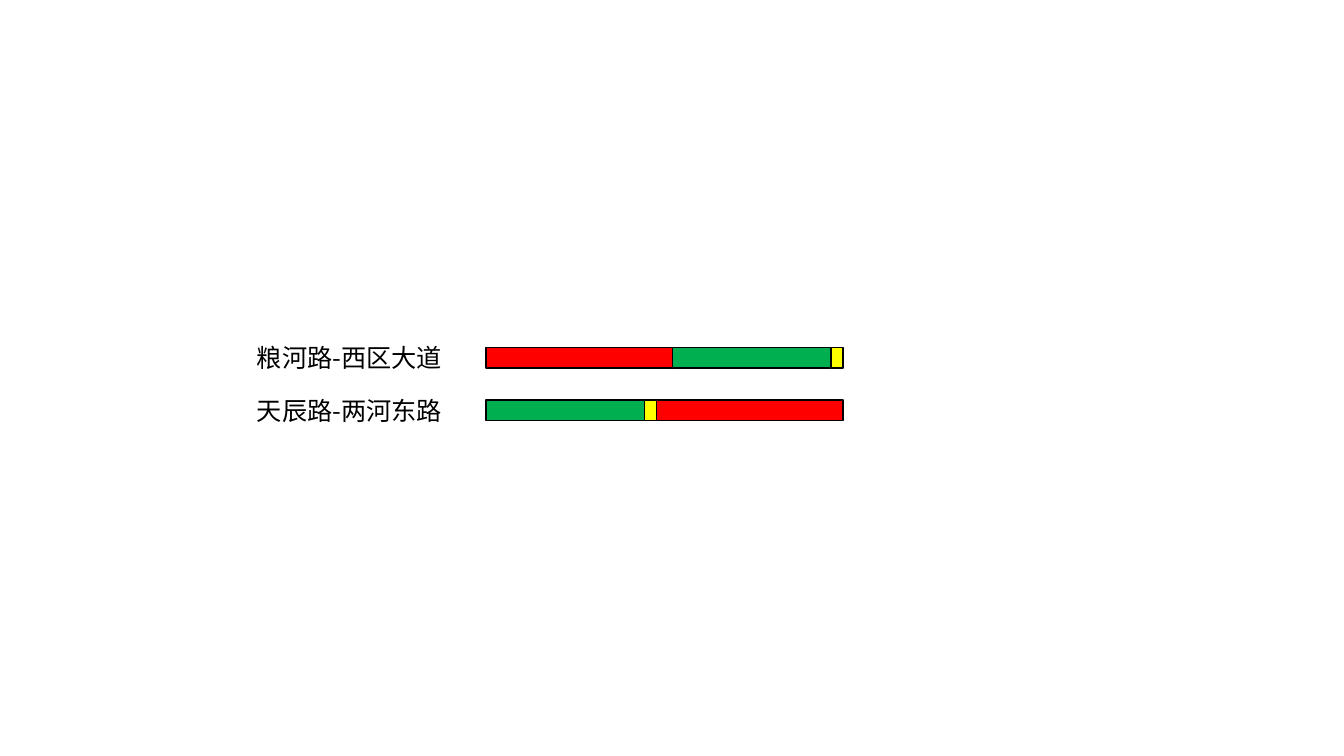
from pptx import Presentation
from pptx import util as u
from pptx.dml.color import RGBColor
from pptx.enum import shapes, text
from pptx.oxml.ns import qn

RED = RGBColor(0xFF, 0x00, 0x00)
GREEN = RGBColor(0x00, 0xB0, 0x50)
YELLOW = RGBColor(0xFF, 0xFF, 0x00)
BLACK = RGBColor(0x00, 0x00, 0x00)

SPAN = {RED: 1.85, GREEN: 1.57, YELLOW: 0.12}
ROADS = [
    ("粮河路-西区大道", (RED, GREEN, YELLOW)),
    ("天辰路-两河东路", (GREEN, YELLOW, RED)),
]
TOP, STEP = 3.35, 0.52


class Board:
    """Holds the style and the group on the current slide."""

    font = "Noto Sans CJK SC"
    size = u.Pt(18)
    edge = u.Pt(1)

    def __init__(self, slide):
        """Start one group for the signal plan."""
        self.group = slide.shapes.add_group_shape().shapes

    def label(self, words, left, top, width, height):
        """Add a road name."""
        box = self.group.add_textbox(*map(u.Inches, (left, top, width, height)))
        frame = box.text_frame
        frame.text = words
        frame.word_wrap = True
        frame.auto_size = text.MSO_AUTO_SIZE.SHAPE_TO_FIT_TEXT
        run = frame.paragraphs[0].runs[0]
        run.font.name = self.font
        run.font.size = self.size
        run.font.color.rgb = BLACK
        east = run.font._element.makeelement(qn("a:ea"), {"typeface": self.font})
        run.font._element.find(qn("a:latin")).addnext(east)

    def phase(self, color, left, top, width, height):
        """Add one outlined bar of a signal phase."""
        bar = self.group.add_shape(
            shapes.MSO_SHAPE.RECTANGLE, *map(u.Inches, (left, top, width, height)))
        bar.shadow.inherit = False
        bar.fill.solid()
        bar.fill.fore_color.rgb = color
        bar.line.color.rgb = BLACK
        bar.line.width = self.edge

    def cycle(self, colors, left, top):
        """Add the phases of one signal end to end."""
        for color in colors:
            self.phase(color, left, top, SPAN[color], 0.2)
            left += SPAN[color]


def main():
    """Build the slide and save it."""
    deck = Presentation()
    deck.slide_width, deck.slide_height = u.Inches(13.33), u.Inches(7.5)
    board = Board(deck.slides.add_slide(deck.slide_layouts[6]))
    for row, (road, colors) in enumerate(ROADS):
        top = TOP + row * STEP
        board.label(road, 2.45, top, 2.18, 0.4)
        board.cycle(colors, 4.82, top + 0.1)
    deck.save("out.pptx")


main()
